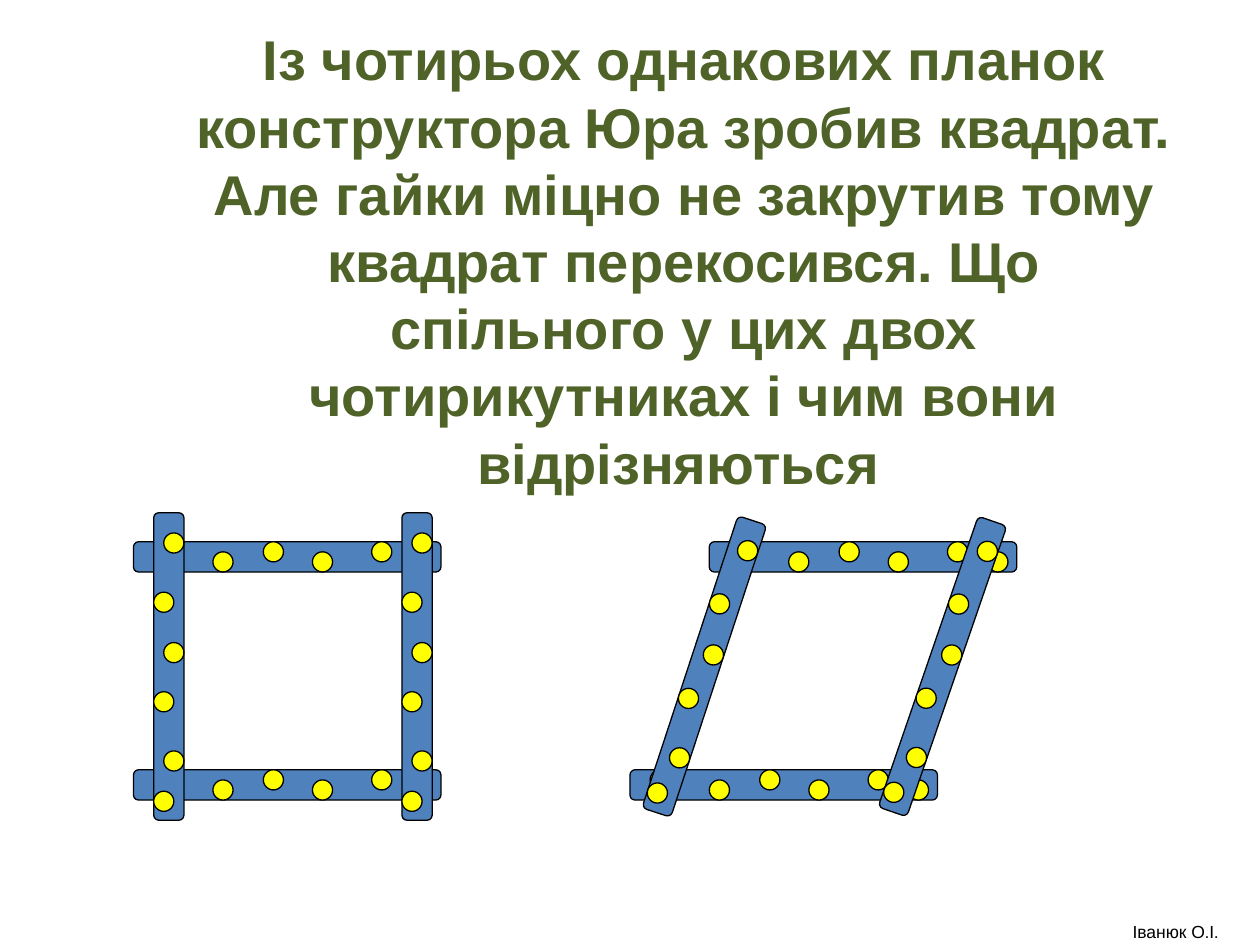
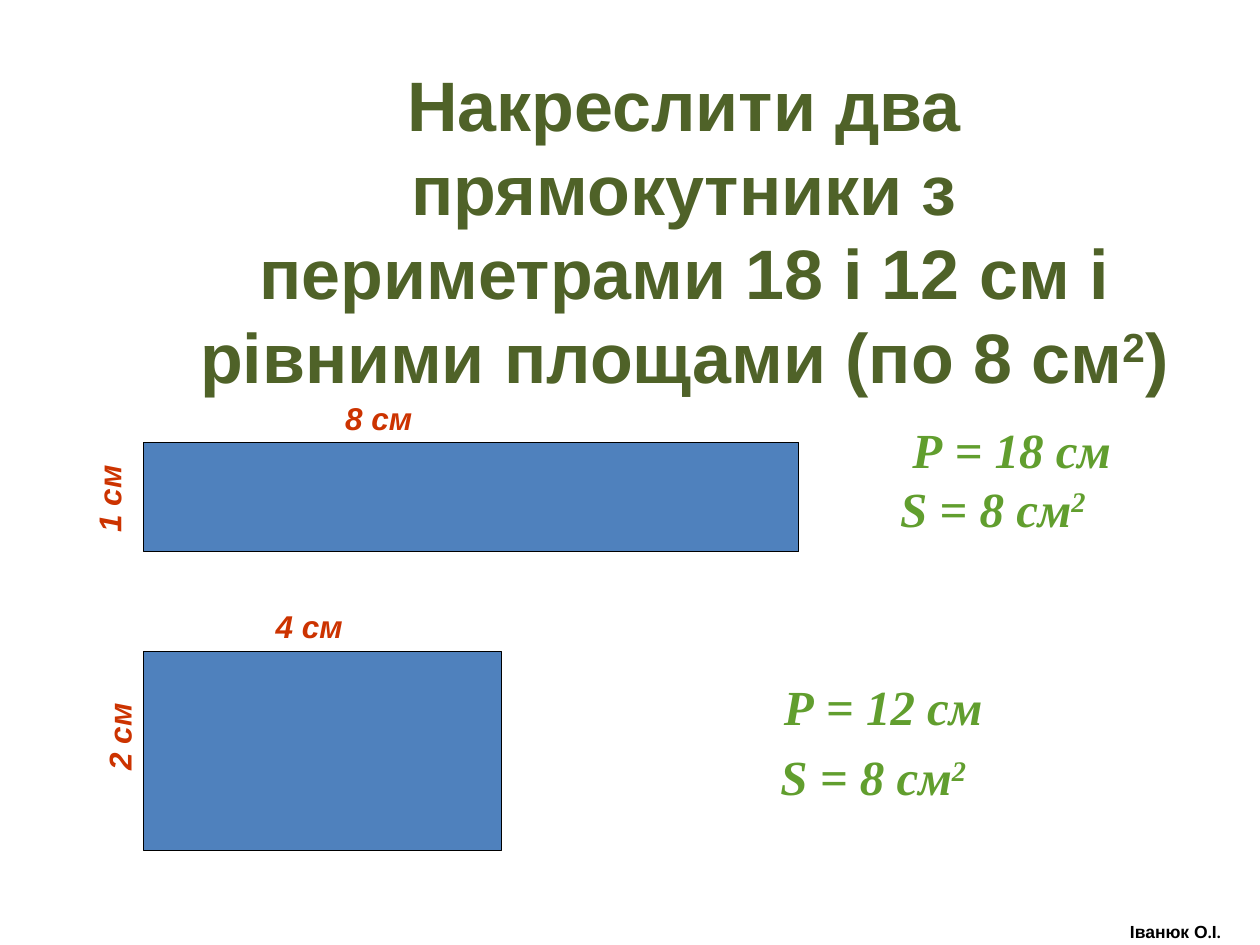
from math import cos, radians, sin

from pptx import Presentation
from pptx.dml.color import RGBColor
from pptx.enum.shapes import MSO_SHAPE
from pptx.enum.text import MSO_ANCHOR, MSO_AUTO_SIZE, PP_ALIGN
from pptx.util import Emu, Pt

RECTANGLE = MSO_SHAPE.RECTANGLE
ROUNDED = MSO_SHAPE.ROUNDED_RECTANGLE
OVAL = MSO_SHAPE.OVAL
LEFT, CENTER = PP_ALIGN.LEFT, PP_ALIGN.CENTER
TOP, MIDDLE = MSO_ANCHOR.TOP, MSO_ANCHOR.MIDDLE
NO_AUTOSIZE = MSO_AUTO_SIZE.NONE

EMU_PER_PX = 9144
LINE_HEIGHT = 1.2
COLORS = {
    "title": "4F6228",
    "plank": "4F81BD",
    "hole": "FFFF00",
    "outline": "000000",
    "side": "CC3300",
    "result": "619E2E",
    "footer": "000000",
}
TITLE = {"name": "Arial", "size": 32, "color": "title", "bold": True}
SIDE = {"name": "Arial", "size": 18, "color": "side", "bold": True, "italic": True}
RESULT = {"name": "Times New Roman", "size": 28, "color": "result", "bold": True, "italic": True}
FOOTER = {"name": "Arial", "size": 10, "color": "footer"}
SUPERSCRIPT = {"baseline": 30000}

PLANK_LENGTH, PLANK_WIDTH, HOLE = 244, 24, 16
HOLES = [(16, 0), (103, 0), (63, 8), (221, 8), (142, 8), (189, 0)]


def px(value):
    return Emu(round(value * EMU_PER_PX))


class Deck:
    def __init__(self, width, height):
        self.presentation = Presentation()
        self.presentation.slide_width = px(width)
        self.presentation.slide_height = px(height)
        self.slide = None

    def new_slide(self):
        self.slide = self.presentation.slides.add_slide(self.presentation.slide_layouts[6])

    def shape(self, kind, box, fill, shapes=None):
        shapes = self.slide.shapes if shapes is None else shapes
        shape = shapes.add_shape(kind, *map(px, box))
        shape.shadow.inherit = False
        shape.fill.solid()
        shape.fill.fore_color.rgb = RGBColor.from_string(COLORS[fill])
        shape.line.color.rgb = RGBColor.from_string(COLORS["outline"])
        shape.line.width = Pt(0.75)
        return shape

    def run(self, paragraph, text, style):
        run = paragraph.add_run()
        run.text = text
        for key, value in style.items():
            if key == "color":
                run.font.color.rgb = RGBColor.from_string(COLORS[value])
            elif key == "baseline":
                run.font._element.set("baseline", str(value))
            else:
                setattr(run.font, key, Pt(value) if key == "size" else value)

    def text(self, box, runs, style, align=CENTER, anchor=TOP, rotation=0, wrap=True):
        shape = self.slide.shapes.add_textbox(*map(px, box))
        shape.rotation = rotation
        frame_format = {"word_wrap": wrap, "auto_size": NO_AUTOSIZE, "vertical_anchor": anchor}
        for key, value in frame_format.items():
            setattr(shape.text_frame, key, value)
        paragraph = shape.text_frame.paragraphs[0]
        paragraph.alignment = align
        paragraph.line_spacing = Pt(style["size"] * LINE_HEIGHT)
        for text, changes in runs:
            self.run(paragraph, text, {**style, **changes})

    def title(self, top, size, runs):
        self.text((146, top, 794, 103), runs, {**TITLE, "size": size}, anchor=MIDDLE)

    def side(self, left, top, text, rotation=0):
        self.text((left, top, 73, 40), [(text, {})], SIDE, LEFT, rotation=rotation, wrap=False)

    def result(self, left, top, text, exponent=""):
        runs = [(text, {})]
        if exponent:
            runs.append((exponent, SUPERSCRIPT))
        self.text((left, top, 276, 57), runs, RESULT)

    def footer(self, bold):
        dot = {"name": "TeX Gyre Pagella"}
        runs = [("Іванюк О", {}), (".", dot), ("І", {}), (".", dot)]
        self.text((866, 726, 134, 24), runs, {**FOOTER, "bold": bold})

    def plank(self, left, top, angle=0):
        shapes = self.slide.shapes.add_group_shape().shapes
        bar = self.shape(ROUNDED, (left, top, PLANK_LENGTH, PLANK_WIDTH), "plank", shapes)
        bar.adjustments[0] = 0.167
        bar.rotation = angle
        cosine, sine = cos(radians(angle)), sin(radians(angle))
        for hole_left, hole_top in HOLES:
            along = hole_left + HOLE / 2 - PLANK_LENGTH / 2
            across = hole_top + HOLE / 2 - PLANK_WIDTH / 2
            x = left + PLANK_LENGTH / 2 + along * cosine - across * sine - HOLE / 2
            y = top + PLANK_WIDTH / 2 + along * sine + across * cosine - HOLE / 2
            self.shape(OVAL, (x, y, HOLE, HOLE), "hole", shapes)


def build_planks(deck):
    deck.new_slide()
    question = (
        "Із чотирьох однакових планок конструктора Юра зробив квадрат. "
        "Але гайки міцно не закрутив тому квадрат перекосився. "
        "Що спільного у цих двох чотирикутниках і чим вони відрізняються"
    )
    deck.title(155, 32, [(question, {}), (" ", {"size": 24})])
    square = [(106, 430, 0), (106, 611, 0), (12, 517, 90), (209, 517, 90)]
    rhombus = [(563, 430, 0), (500, 611, 0), (437, 517, 108.2), (626, 517, 109)]
    for left, top, angle in square + rhombus:
        deck.plank(left, top, angle)
    deck.footer(bold=False)


def build_rectangles(deck):
    deck.new_slide()
    task = "Накреслити два прямокутники з периметрами 18 і 12 см і рівними площами (по 8 см"
    deck.title(131, 40, [(task, {}), ("2", SUPERSCRIPT), (")", {})])
    for box in [(114, 351, 520, 87), (114, 517, 284, 158)]:
        deck.shape(RECTANGLE, box, "plank")
    deck.side(264, 312, "8 см")
    deck.side(50, 376, "1 см", 270)
    deck.side(209, 477, "4 см")
    deck.side(58, 565, "2 см", 270)
    deck.result(563, 532, "Р = 12 см")
    deck.result(555, 588, "S = 8 см", "2")
    deck.result(665, 328, "Р = 18 см")
    deck.result(650, 375, "S = 8 см", "2")
    deck.footer(bold=True)


def main():
    deck = Deck(1000, 750)
    build_planks(deck)
    build_rectangles(deck)
    deck.presentation.save("out.pptx")


if __name__ == "__main__":
    main()
